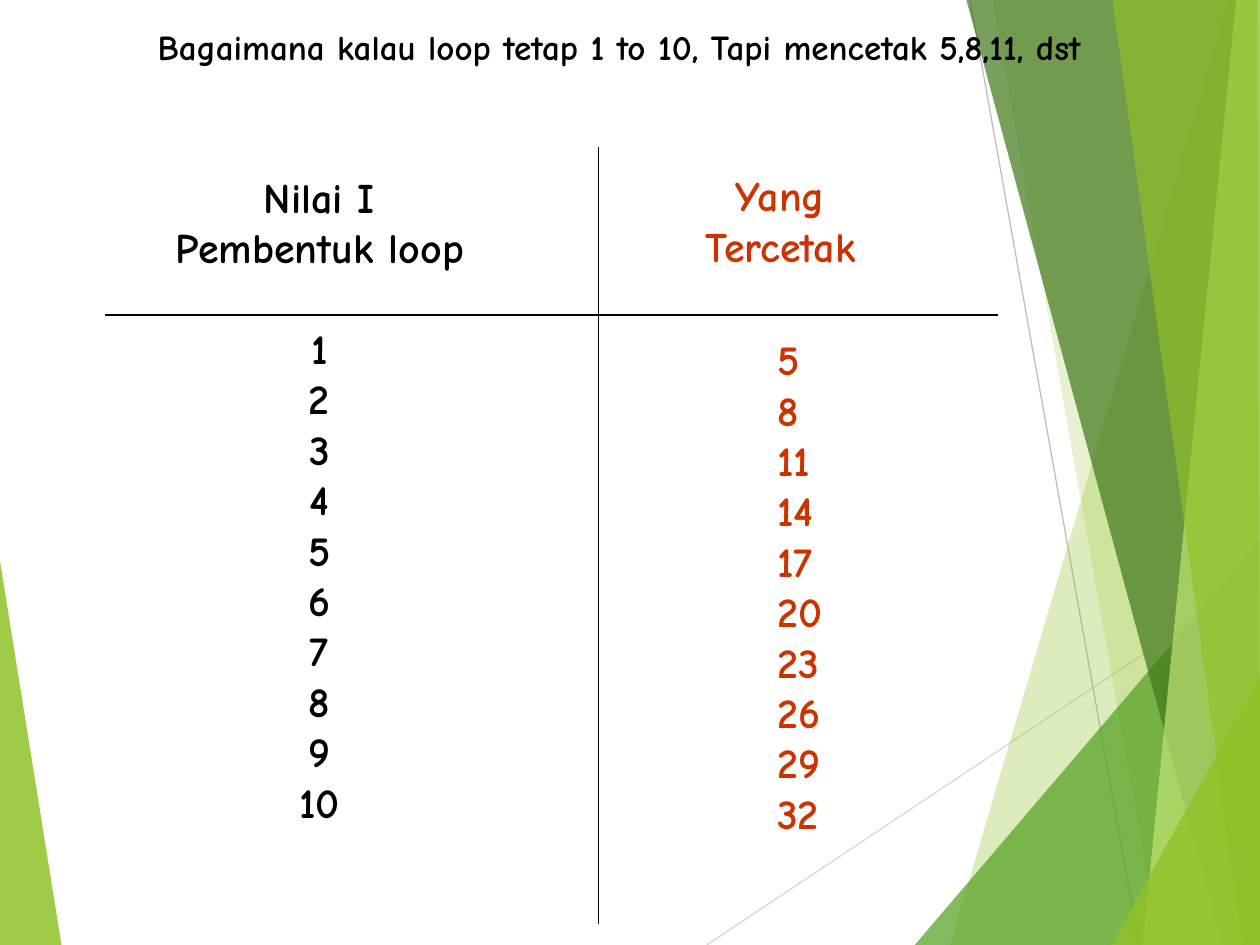
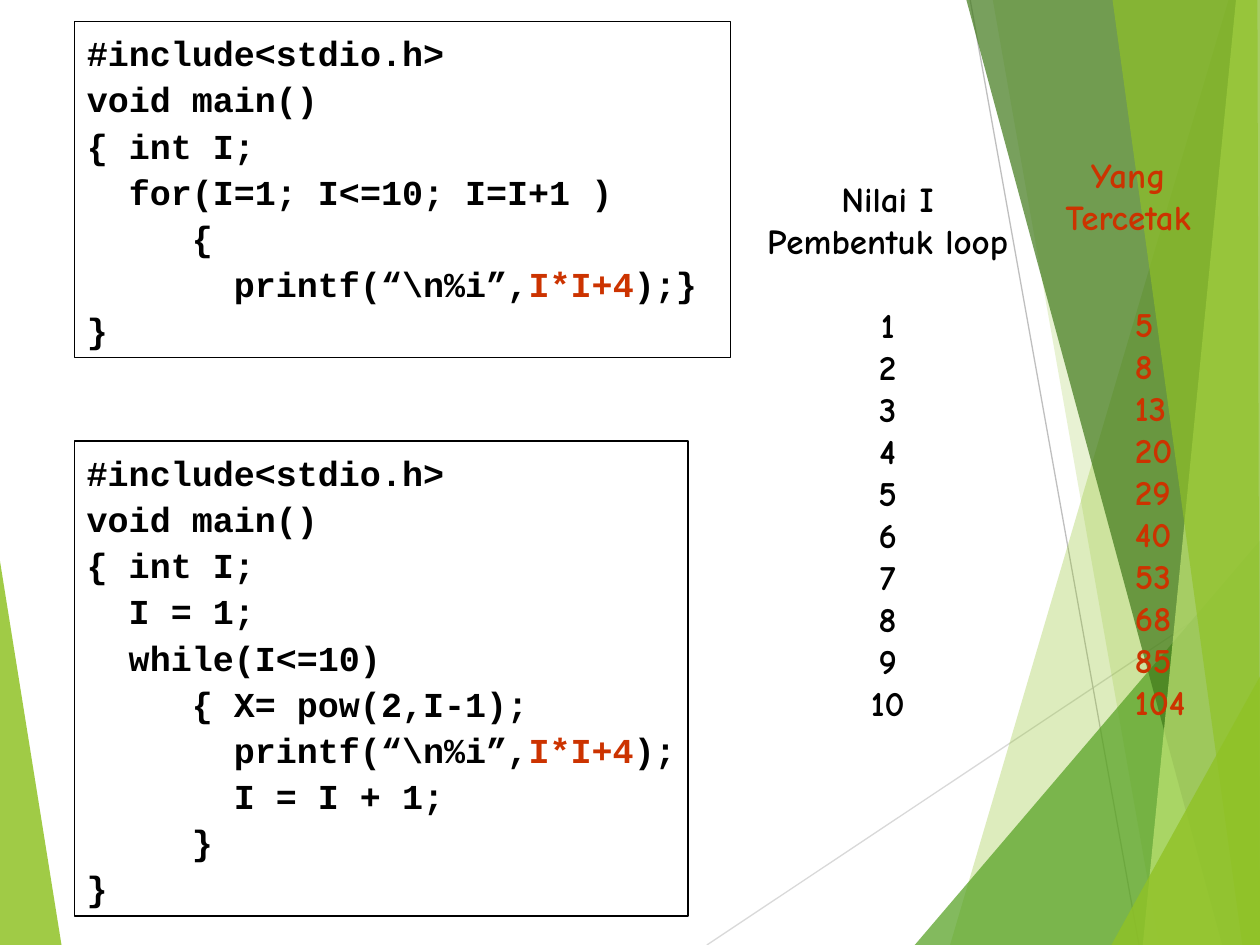
from lxml import etree
from pptx import Presentation
from pptx.dml.color import RGBColor
from pptx.enum.shapes import MSO_CONNECTOR, MSO_SHAPE
from pptx.enum.text import MSO_ANCHOR, MSO_AUTO_SIZE, PP_ALIGN
from pptx.oxml.ns import qn
from pptx.util import Inches, Pt

LINE, RECT = MSO_CONNECTOR.STRAIGHT, MSO_SHAPE.RECTANGLE
LEFT, MID = PP_ALIGN.LEFT, PP_ALIGN.CENTER
BLACK, RED, GREEN = "000000", "CC3300", "90C226"
SANS, MONO = "Comic Neue", "Courier New"

# Content
TITLE = "Bagaimana kalau loop tetap 1 to 10, Tapi mencetak 5,8,11, dst"
HEAD = ["Yang", "Tercetak"]
STEPS = range(1, 11)
COUNT = ["Nilai I", "Pembentuk loop"] + [str(i) for i in STEPS]
LINEAR = [str(3 * i + 2) for i in STEPS]
SQUARE = [str(i * i + 4) for i in STEPS]
MARK = "I*I+4"
START = ["#include<stdio.h>", "void main()", "{ int I;"]
FOR = START + [
    "  for(I=1; I<=10; I=I+1 )",
    "     {",
    "       printf(“\\n%i”,I*I+4);}",
    "}",
]
WHILE = START + [
    "  I = 1;",
    "  while(I<=10)",
    "     { X= pow(2,I-1);",
    "       printf(“\\n%i”,I*I+4);",
    "       I = I + 1;",
    "     }",
    "}",
]

# Backdrop: rays as (from, to, colour), facets as (colour, opacity, corners)
RAYS = [
    ((5.61, 7.5), (10.01, 4.57), "D9D9D9"),
    ((7.7, 0), (9.04, 7.5), "BFBFBF"),
]
WEDGE = (GREEN, 85, [(-0.01, 4.39), (0.49, 7.51), (-0.01, 7.5)])
FACETS = [
    (GREEN, 30, [(9.75, 0), (7.54, 7.5), (10.02, 7.51), (10.01, 0)]),
    (GREEN, 20, [(7.88, 0), (9.2, 7.5), (10.01, 7.5), (10.01, 0)]),
    ("54A021", 72, [(7.26, 7.5), (10, 4.29), (10.01, 7.5)]),
    ("3F7819", 70, [(7.67, 0), (9.7, 7.5), (10.01, 7.5), (10.01, 0)]),
    ("C0E474", 70, [(9.81, 0), (9.07, 7.5), (10.01, 7.5), (10, 0)]),
    (GREEN, 65, [(8.83, 0), (9.86, 7.5), (10, 7.5), (9.98, 0)]),
    (GREEN, 80, [(8.82, 7.5), (10.01, 5.35), (10.01, 7.5)]),
]


def rgb(code):
    return RGBColor.from_string(code)


def inch(*nums):
    return [Inches(n) for n in nums]


def rule(slide, start, end, color=BLACK):
    line = slide.shapes.add_connector(LINE, *inch(*start, *end))
    line.line.color.rgb = rgb(color)
    line.line.width = Pt(0.75)
    props = line.element.find(qn("p:spPr"))
    etree.SubElement(props, qn("a:effectLst"))
    return line


def facet(slide, color, alpha, dots):
    dots = [tuple(inch(*dot)) for dot in dots]
    pen = slide.shapes.build_freeform(*dots[0], scale=1.0)
    pen.add_line_segments(dots[1:], close=True)
    shape = pen.convert_to_shape()
    shape.shadow.inherit = False
    shape.line.fill.background()
    shape.fill.solid()
    shape.fill.fore_color.rgb = rgb(color)
    tint = next(shape.element.iter(qn("a:srgbClr")))
    etree.SubElement(tint, qn("a:alpha"), val=str(alpha * 1000))
    return shape


def write(shape, lines, size=24, color=BLACK, font=SANS, align=LEFT,
          space=None, gap=None):
    """Fill a shape; gap is the index of a line set one line lower."""
    frame = shape.text_frame
    frame.word_wrap = False
    frame.auto_size = MSO_AUTO_SIZE.NONE
    frame.vertical_anchor = MSO_ANCHOR.TOP
    for i, text in enumerate(lines):
        para = frame.add_paragraph() if i else frame.paragraphs[0]
        para.alignment = align
        if space:
            para.line_spacing = space
        if gap is not None and i == gap:
            para.space_before = Pt(1.2 * size)
        pre, mark, post = text.partition(MARK)
        for part, tone in ((pre, color), (mark, RED), (post, color)):
            if part:
                run = para.add_run()
                run.text = part
                run.font.name, run.font.size = font, Pt(size)
                run.font.bold = True
                run.font.color.rgb = rgb(tone)


def label(slide, box, lines, **form):
    write(slide.shapes.add_textbox(*inch(*box)), lines, **form)


def code(slide, box, lines):
    shape = slide.shapes.add_shape(RECT, *inch(*box))
    shape.shadow.inherit = False
    shape.fill.background()
    shape.line.color.rgb = rgb(BLACK)
    shape.line.width = Pt(0.75)
    write(shape, lines, size=20, font=MONO, space=1.1)


def backdrop(deck, slide):
    """Draw the shared facets, then move them behind the master's parts."""
    parts = [facet(slide, *WEDGE)]
    parts += [rule(slide, *ray) for ray in RAYS]
    parts += [facet(slide, *item) for item in FACETS]
    tree = deck.slide_master.shapes.element
    for i, part in enumerate(parts):
        tree.insert(2 + i, part.element)


def main():
    deck = Presentation()
    deck.slide_width, deck.slide_height = inch(10, 7.5)

    # Slide 1: loop counter beside printed values
    slide = deck.slides.add_slide(deck.slide_layouts[5])
    backdrop(deck, slide)
    title = slide.shapes.title
    title.left, title.top, title.width, title.height = inch(1.15, 0.15, 7.58, 0.44)
    write(title, [TITLE], size=20)
    label(slide, (5.48, 1.3, 1.43, 1.3), HEAD, color=RED, align=MID)
    label(slide, (1.29, 1.31, 2.49, 5.3), COUNT, align=MID, gap=2)
    rule(slide, (0.83, 2.5), (7.92, 2.5))
    rule(slide, (4.75, 1.17), (4.75, 7.33))
    label(slide, (6.07, 2.6, 0.55, 4.1), LINEAR, color=RED)

    # Slide 2: two programs and their output
    slide = deck.slides.add_slide(deck.slide_layouts[6])
    code(slide, (0.59, 0.17, 5.21, 2.67), FOR)
    code(slide, (0.59, 3.5, 4.87, 3.77), WHILE)
    label(slide, (8.34, 1.17, 1.23, 1.1), HEAD, size=20, color=RED, align=MID)
    label(slide, (5.99, 1.36, 2.11, 4.44), COUNT, size=20, align=MID, gap=2)
    label(slide, (8.91, 2.35, 0.6, 3.44), SQUARE, size=20, color=RED)

    deck.save("out.pptx")


if __name__ == "__main__":
    main()
